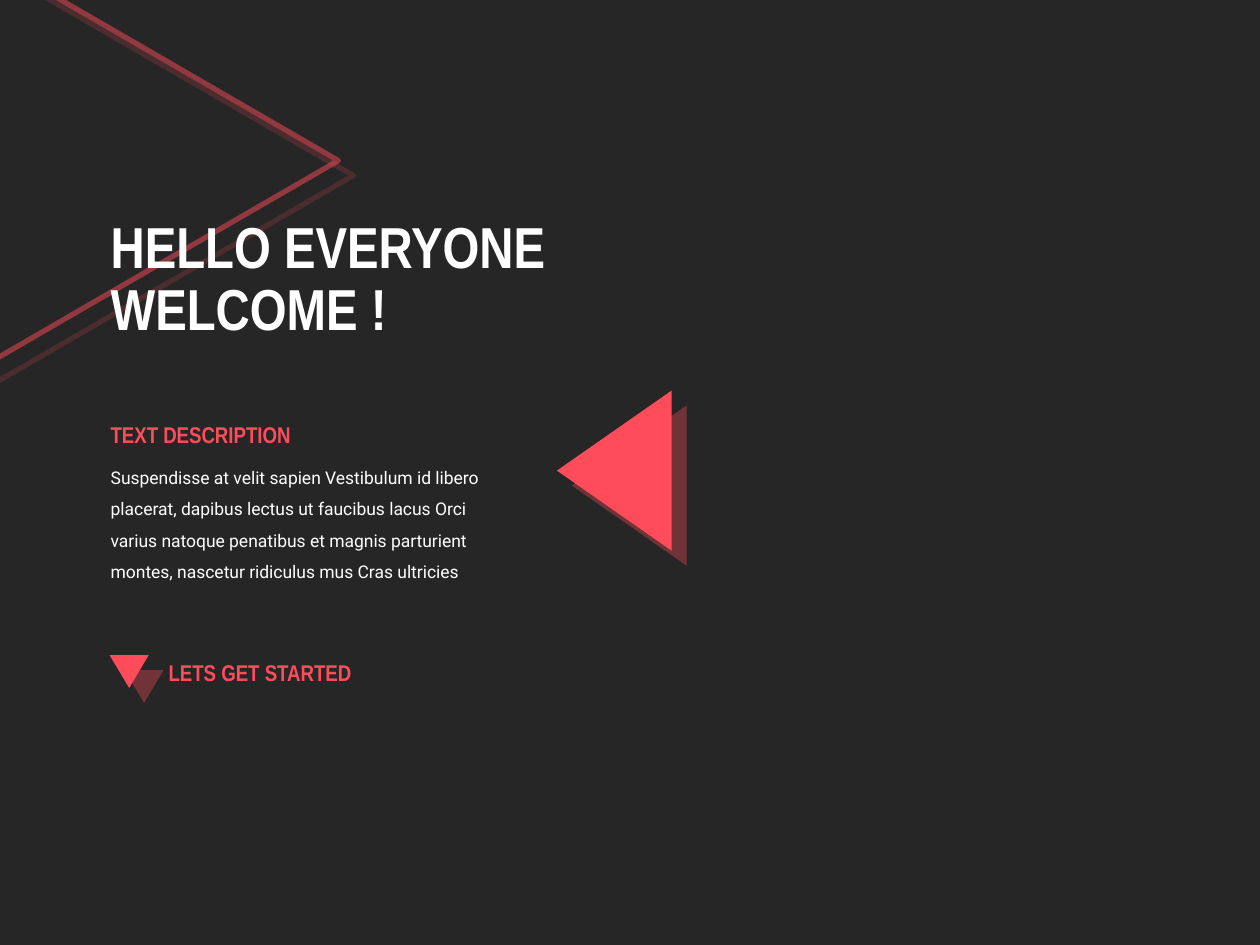
from dataclasses import dataclass

from lxml import etree
from pptx import Presentation
from pptx.dml.color import RGBColor
from pptx.enum import shapes, text
from pptx.oxml.ns import qn
from pptx.util import Inches, Pt


@dataclass(frozen=True)
class Theme:
    background: str = "262626"
    accent: str = "FF4C5B"
    light: str = "FFFFFF"
    heading_font: str = "Arial Narrow"
    body_font: str = "Roboto"
    title_size: float = 33
    heading_size: float = 13
    body_size: float = 10
    outline_width: float = 3
    outline_opacity: int = 50
    shadow_opacity: int = 35
    shadow_distance: float = 12.1
    shadow_angle: int = 45


@dataclass(frozen=True)
class Box:
    left: float
    top: float
    width: float
    height: float

    def lengths(self) -> list:
        return [Inches(v) for v in (self.left, self.top, self.width, self.height)]


@dataclass(frozen=True)
class Triangle:
    box: Box
    rotation: int
    outlined: bool = False


@dataclass(frozen=True)
class Label:
    box: Box
    words: str
    size: float
    font: str
    color: str
    bold: bool = True
    line_spacing: float = 1.0
    anchor: text.MSO_ANCHOR = text.MSO_ANCHOR.TOP


THEME = Theme()

TRIANGLES = [
    Triangle(Box(-0.39, -0.15, 3.3, 2.85), 90, outlined=True),
    Triangle(Box(4.24, 3.28, 1.27, 0.91), 270),
    Triangle(Box(0.87, 5.2, 0.31, 0.26), 180),
]

LABELS = [
    Label(Box(0.78, 1.44, 4.22, 1.58), "HELLO EVERYONE\vWELCOME !",
          THEME.title_size, THEME.heading_font, THEME.light,
          line_spacing=0.9, anchor=text.MSO_ANCHOR.MIDDLE),
    Label(Box(0.78, 3.57, 3.38, 1.1),
          "Suspendisse at velit sapien Vestibulum id libero placerat, "
          "dapibus lectus ut faucibus lacus Orci varius natoque penatibus "
          "et magnis parturient montes, nascetur ridiculus mus Cras ultricies",
          THEME.body_size, THEME.body_font, THEME.light,
          bold=False, line_spacing=1.5),
    Label(Box(0.78, 3.29, 1.84, 0.54), "TEXT DESCRIPTION",
          THEME.heading_size, THEME.heading_font, THEME.accent),
    Label(Box(1.24, 5.18, 1.84, 0.32), "LETS GET STARTED",
          THEME.heading_size, THEME.heading_font, THEME.accent),
]


def set_opacity(color_element, percent: int) -> None:
    etree.SubElement(color_element, qn("a:alpha"), val=str(percent * 1000))


def add_hard_shadow(shape) -> None:
    """Give the shape an unblurred, see-through accent shadow."""
    shape.shadow.inherit = False
    effects = shape.element.spPr.find(qn("a:effectLst"))
    shadow = etree.SubElement(
        effects, qn("a:outerShdw"), blurRad="0",
        dist=str(Pt(THEME.shadow_distance)),
        dir=str(THEME.shadow_angle * 60000), algn="tl", rotWithShape="0")
    color = etree.SubElement(shadow, qn("a:srgbClr"), val=THEME.accent)
    set_opacity(color, THEME.shadow_opacity)


def add_triangle(slide, triangle: Triangle) -> None:
    shape = slide.shapes.add_shape(
        shapes.MSO_SHAPE.ISOSCELES_TRIANGLE, *triangle.box.lengths())
    shape.rotation = triangle.rotation
    accent = RGBColor.from_string(THEME.accent)
    if triangle.outlined:
        shape.fill.background()
        shape.line.width = Pt(THEME.outline_width)
        shape.line.color.rgb = accent
        line_color = shape.element.spPr.find(qn("a:ln")).find(".//" + qn("a:srgbClr"))
        set_opacity(line_color, THEME.outline_opacity)
    else:
        shape.fill.solid()
        shape.fill.fore_color.rgb = accent
        shape.line.fill.background()
    add_hard_shadow(shape)


def add_label(slide, label: Label) -> None:
    frame = slide.shapes.add_textbox(*label.box.lengths()).text_frame
    frame.word_wrap = True
    frame.vertical_anchor = label.anchor
    paragraph = frame.paragraphs[0]
    paragraph.text = label.words
    paragraph.line_spacing = label.line_spacing
    font = paragraph.font
    font.name = label.font
    font.size = Pt(label.size)
    font.bold = label.bold
    font.color.rgb = RGBColor.from_string(label.color)


def main() -> None:
    presentation = Presentation()
    presentation.slide_width = Inches(10)
    presentation.slide_height = Inches(7.5)
    slide = presentation.slides.add_slide(presentation.slide_layouts[6])
    slide.background.fill.solid()
    slide.background.fill.fore_color.rgb = RGBColor.from_string(THEME.background)

    for triangle in TRIANGLES:
        add_triangle(slide, triangle)
    for label in LABELS:
        add_label(slide, label)

    presentation.save("out.pptx")


if __name__ == "__main__":
    main()
